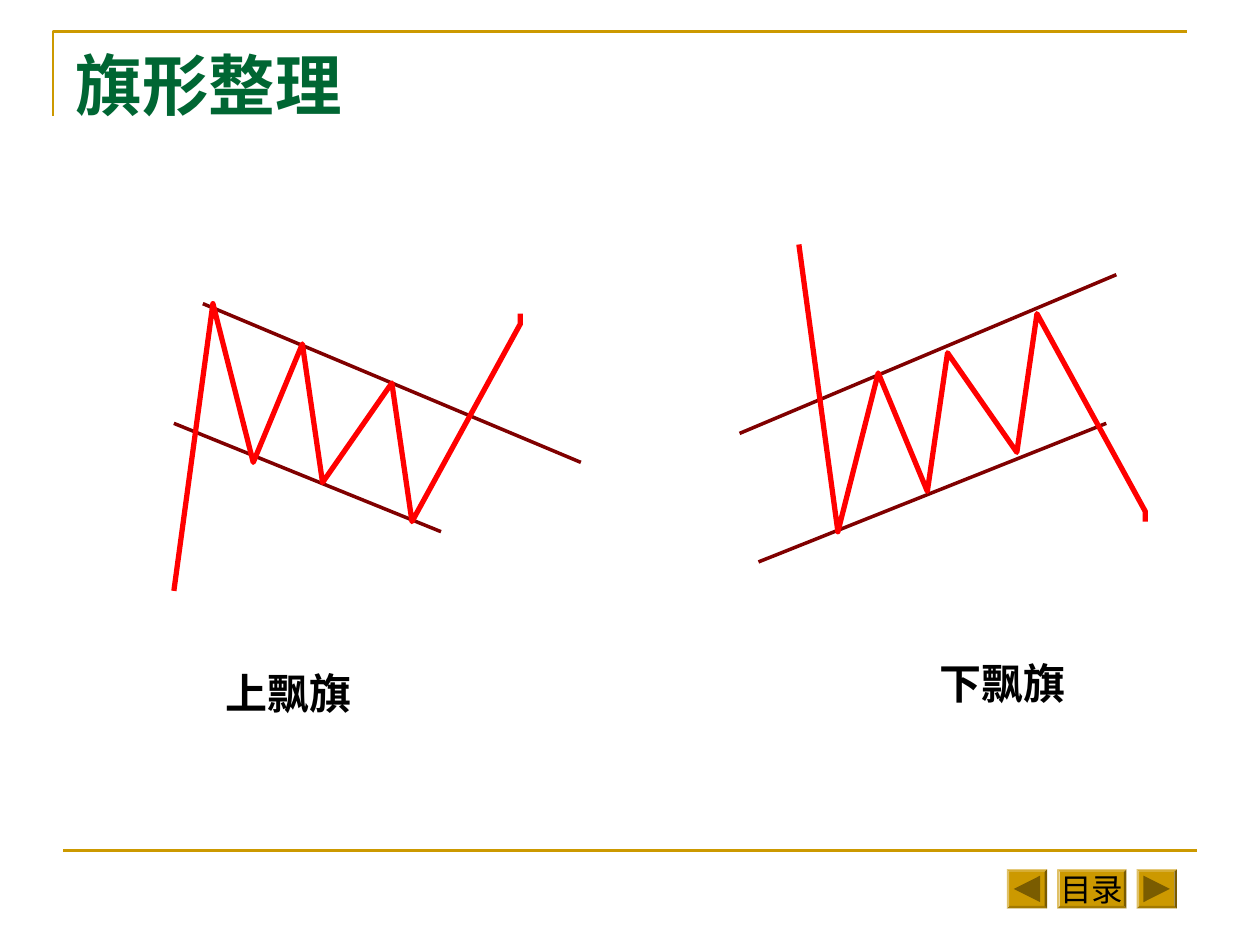
"""Build the flag-consolidation slide: two mirrored price flags with trend lines."""
from dataclasses import dataclass

from lxml.etree import SubElement
from pptx import Presentation
from pptx.dml.color import RGBColor as RGB
from pptx.enum.shapes import MSO_CONNECTOR as CONN, MSO_SHAPE as SHAPE
from pptx.enum.text import MSO_ANCHOR as ANCHOR, PP_ALIGN as ALIGN
from pptx.oxml.ns import qn
from pptx.util import Inches, Pt


@dataclass(frozen=True)
class Theme:
    gold: str = "CC9900"
    arrow: str = "7A5C00"
    green: str = "006633"
    black: str = "000000"
    trend: str = "800000"
    price: str = "FF0000"
    title_font: str = "Times New Roman"
    label_font: str = "DejaVu Sans"
    button_font: str = "Arial"
    title_size: int = 38
    label_size: int = 24
    button_size: int = 18


T = Theme()
TITLE = "旗形整理"
SWINGS = [(0, 0), (0.31, 2.28), (0.63, 1.02), (1.02, 1.96), (1.18, 0.86),
          (1.73, 1.65), (1.89, 0.55), (2.75, 2.12), (2.75, 2.2)]
FLAGS = [
    {"label": "上飘旗", "label_at": (1.69, 5.25), "start": (1.38, 4.69), "direction": -1,
     "trends": [((1.61, 2.41), (4.61, 3.67)), ((1.38, 3.36), (3.5, 4.22))]},
    {"label": "下飘旗", "label_at": (7.36, 5.17), "start": (6.34, 1.94), "direction": 1,
     "trends": [((8.86, 2.18), (5.87, 3.44)), ((8.78, 3.36), (6.02, 4.46))]},
]
FRAME = [(0.42, 0.92), (0.42, 0.25), (9.42, 0.25)]
FOOTER = ((0.5, 6.75), (9.5, 6.75))
BUTTON_TOP, BUTTON_HEIGHT, BEVEL, ARROW = 6.9, 0.31, 0.02, 0.21
BUTTONS = [(7.99, 0.32, "", -90), (8.39, 0.55, "目录", None), (9.02, 0.32, "", 90)]


def add_line(slide, start, end, color, width):
    line = slide.shapes.add_connector(CONN.STRAIGHT, *map(Inches, start + end))
    line.line.color.rgb = RGB.from_string(color)
    line.line.width = Pt(width)
    SubElement(line._element.spPr, qn("a:effectLst"))


def add_path(slide, points, color, width):
    start, *rest = [(Inches(x), Inches(y)) for x, y in points]
    builder = slide.shapes.build_freeform(*start)
    builder.add_line_segments(rest, close=False)
    sp = builder.convert_to_shape()
    sp.shadow.inherit = False
    sp.fill.background()
    sp.line.color.rgb = RGB.from_string(color)
    sp.line.width = Pt(width)


def add_solid(slide, kind, box, color):
    sp = slide.shapes.add_shape(kind, *map(Inches, box))
    sp.shadow.inherit = False
    sp.fill.solid()
    sp.fill.fore_color.rgb = RGB.from_string(color)
    sp.line.fill.background()
    return sp


def write(tf, text, font, size, color, bold=False, align=ALIGN.LEFT):
    p = tf.paragraphs[0]
    p.alignment = align
    r = p.add_run()
    r.text = text
    r.font.name, r.font.size, r.font.bold = font, Pt(size), bold
    r.font.color.rgb = RGB.from_string(color)


def add_button(slide, left, width, text, rotation):
    box = (left, BUTTON_TOP, width, BUTTON_HEIGHT)
    sp = add_solid(slide, SHAPE.BEVEL, box, T.gold)
    sp.adjustments[0] = BEVEL / BUTTON_HEIGHT
    if text:
        tf = sp.text_frame
        tf.word_wrap = False
        tf.vertical_anchor = ANCHOR.MIDDLE
        write(tf, text, T.button_font, T.button_size, T.black, align=ALIGN.CENTER)
    else:
        arrow_box = (left + (width - ARROW) / 2,
                     BUTTON_TOP + (BUTTON_HEIGHT - ARROW) / 2, ARROW, ARROW)
        arrow = add_solid(slide, SHAPE.ISOSCELES_TRIANGLE, arrow_box, T.arrow)
        arrow.rotation = rotation


def add_flag(slide, flag):
    tb = slide.shapes.add_textbox(*map(Inches, flag["label_at"] + (1.5, 0.5)))
    tb.text_frame.word_wrap = True
    write(tb.text_frame, flag["label"], T.label_font, T.label_size, T.black, bold=True)
    for start, end in flag["trends"]:
        add_line(slide, start, end, T.trend, 2)
    x, y = flag["start"]
    points = [(x + dx, y + flag["direction"] * dy) for dx, dy in SWINGS]
    add_path(slide, points, T.price, 3)


def main():
    prs = Presentation()
    prs.slide_width, prs.slide_height = Inches(10), Inches(7.5)
    slide = prs.slides.add_slide(prs.slide_layouts[5])
    add_path(slide, FRAME, T.gold, 1.5)
    add_line(slide, *FOOTER, T.gold, 1.5)
    for button in BUTTONS:
        add_button(slide, *button)
    title = slide.shapes.title
    title.left, title.top, title.width, title.height = map(Inches, (0.5, 0.3, 9, 0.61))
    title.text_frame.vertical_anchor = ANCHOR.TOP
    write(title.text_frame, TITLE, T.title_font, T.title_size, T.green, bold=True)
    for flag in FLAGS:
        add_flag(slide, flag)
    prs.save("out.pptx")


if __name__ == "__main__":
    main()
